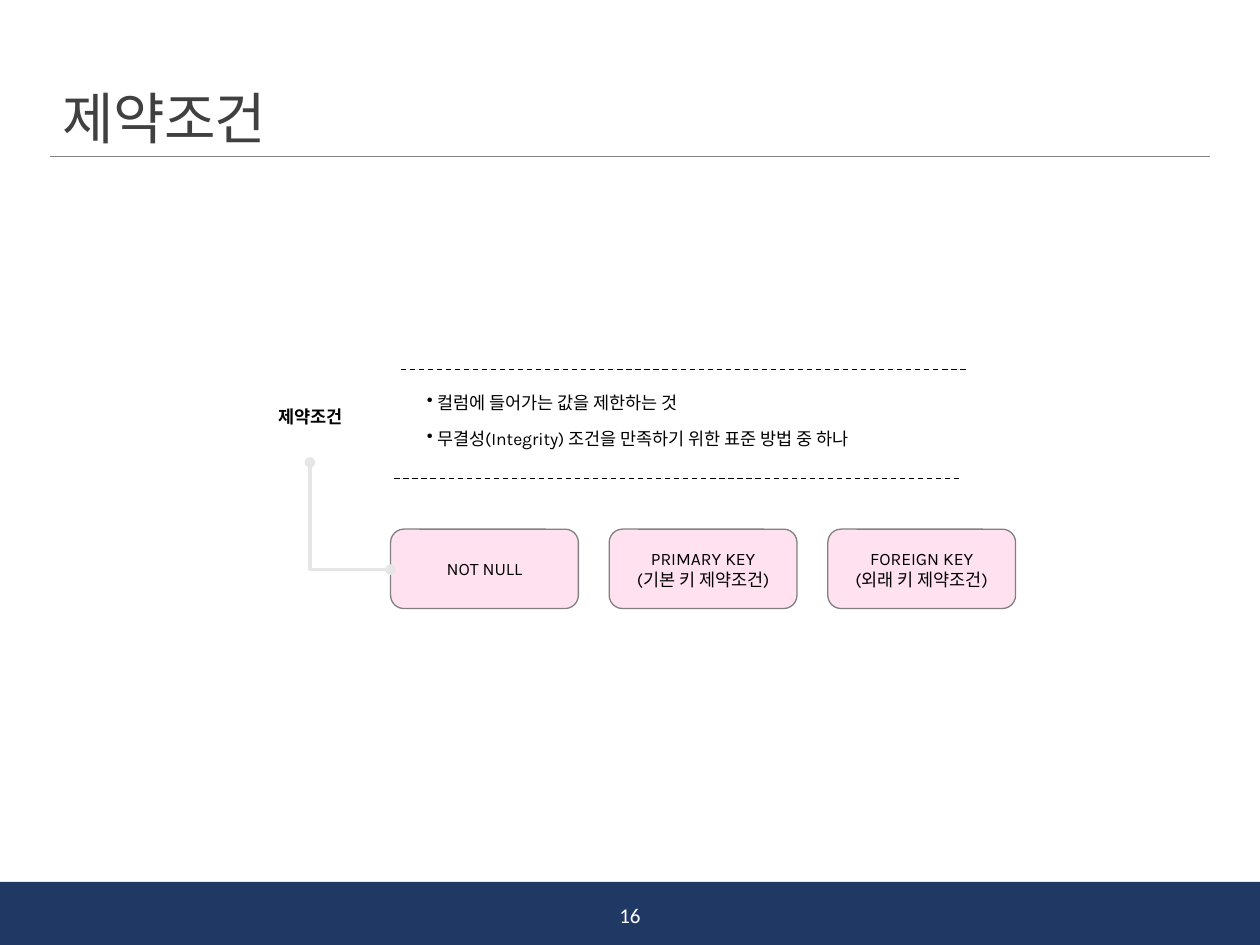
from pptx import Presentation
from pptx.dml.color import RGBColor
from pptx.enum.dml import MSO_LINE
from pptx.enum.shapes import MSO_CONNECTOR as Connector, MSO_SHAPE as Shape
from pptx.enum.text import MSO_ANCHOR as Anchor, PP_ALIGN as Align
from pptx.oxml.ns import qn
from pptx.util import Inches, Pt
from lxml.etree import SubElement

# The slide is a grid of square cells
COLUMNS, ROWS = 100, 75
CELL = Inches(0.1)

NAVY = RGBColor(0x20, 0x38, 0x64)
GRAY = RGBColor(0x80, 0x80, 0x80)
DARK = RGBColor(0x40, 0x40, 0x40)
LIGHT = RGBColor(0xE7, 0xE6, 0xE6)
PINK = RGBColor(0xFF, 0x99, 0xCC)
BLACK = RGBColor(0, 0, 0)
WHITE = RGBColor(0xFF, 0xFF, 0xFF)

KEY_BOXES = ["NOT NULL", "PRIMARY KEY\n(기본 키 제약조건)", "FOREIGN KEY\n(외래 키 제약조건)"]
DEFINITION = [
    "컬럼에 들어가는 값을 제한하는 것",
    "무결성(Integrity) 조건을 만족하기 위한 표준 방법 중 하나",
]


def cells(*counts):
    return [round(count * CELL) for count in counts]


def style(paragraph, size, color, name="Karla", bold=False, align=Align.LEFT):
    paragraph.alignment = align
    font = paragraph.font
    font.size, font.name, font.bold = Pt(size), name, bold
    font.color.rgb = color


def add_text(slide, area, text, size, color, anchor=Anchor.TOP, **options):
    frame = slide.shapes.add_textbox(*cells(*area)).text_frame
    frame.word_wrap = True
    frame.vertical_anchor = anchor
    paragraph = frame.paragraphs[0]
    paragraph.text = text
    style(paragraph, size, color, **options)
    return paragraph


def add_title(slide, text):
    paragraph = add_text(slide, (4, 4.2, 92, 8.3), text, 32, DARK, Anchor.BOTTOM, name="Calibri")
    paragraph.line_spacing = 0.85
    paragraph.runs[0].font._element.set("spc", "-50")


def add_bullets(slide, area, items):
    frame = slide.shapes.add_textbox(*cells(*area)).text_frame
    frame.word_wrap = True
    for index, item in enumerate(items):
        paragraph = frame.add_paragraph() if index else frame.paragraphs[0]
        paragraph.text = item
        paragraph.line_spacing = 1.3
        if index:
            paragraph.space_before = Pt(5)
        properties = paragraph._p.get_or_add_pPr()
        properties.set("marL", str(Inches(0.08)))
        properties.set("indent", str(-Inches(0.08)))
        SubElement(properties, qn("a:buChar"), char="•")
        style(paragraph, 10, BLACK)


def add_line(slide, ends, color, width, kind=Connector.STRAIGHT, dash=None):
    line = slide.shapes.add_connector(kind, *cells(*ends))
    line.line.color.rgb = color
    line.line.width = Pt(width)
    if dash:
        line.line.dash_style = dash
    SubElement(line._element.spPr, qn("a:effectLst"))
    return line


def add_corner(slide, left, top, right, bottom):
    """Line that goes down, then right, with a dot at each end."""
    middle_x, middle_y = (left + right) / 2, (top + bottom) / 2
    half_width, half_height = (bottom - top) / 2, (right - left) / 2
    # Drawn mirrored, then turned a quarter to the left about its centre
    ends = (middle_x + half_width, middle_y - half_height,
            middle_x - half_width, middle_y + half_height)
    properties = add_line(slide, ends, LIGHT, 2, Connector.ELBOW)._element.spPr
    properties.find(qn("a:xfrm")).set("rot", str(270 * 60000))
    properties.find(qn("a:prstGeom")).set("prst", "bentConnector2")
    for end in ("a:headEnd", "a:tailEnd"):
        SubElement(properties.find(qn("a:ln")), qn(end), type="oval")


def add_box(slide, kind, area, color):
    shape = slide.shapes.add_shape(kind, *cells(*area))
    shape.shadow.inherit = False
    shape.fill.solid()
    shape.fill.fore_color.rgb = color
    shape.line.fill.background()
    return shape


def add_key_box(slide, area, text):
    shape = add_box(slide, Shape.ROUNDED_RECTANGLE, area, PINK)
    color = shape._element.spPr.find(qn("a:solidFill"))[0]
    SubElement(color, qn("a:alpha"), val="29000")
    shape.line.color.rgb = GRAY
    shape.line.width = Pt(0.75)
    frame = shape.text_frame
    frame.word_wrap = False
    frame.vertical_anchor = Anchor.MIDDLE
    frame.paragraphs[0].text = text
    style(frame.paragraphs[0], 10, BLACK, align=Align.CENTER)


def main():
    presentation = Presentation()
    presentation.slide_width, presentation.slide_height = cells(COLUMNS, ROWS)
    slide = presentation.slides.add_slide(presentation.slide_layouts[6])

    add_box(slide, Shape.RECTANGLE, (0, ROWS - 5, COLUMNS, 5), NAVY)
    add_line(slide, (4, 12.4, COLUMNS - 4, 12.4), GRAY, 0.5)
    add_title(slide, "제약조건")
    add_text(slide, (44.6, 70.6, 10.8, 4), "16", 12, WHITE, Anchor.MIDDLE,
             name="Calibri", align=Align.CENTER)

    add_text(slide, (21.1, 31.7, 7.5, 2.7), "제약조건", 10, BLACK, bold=True)
    add_bullets(slide, (32.9, 30.1, 38.8, 6.2), DEFINITION)
    for left, top in ((31.8, 29.3), (31.3, 38)):
        add_line(slide, (left, top, left + 44.9, top), BLACK, 0.75, dash=MSO_LINE.DASH)

    for index, text in enumerate(KEY_BOXES):
        add_key_box(slide, (31 + index * 17.35, 42, 14.9, 6.3), text)
    add_corner(slide, 24.6, 36.7, 31, 45.2)

    presentation.save("out.pptx")


if __name__ == "__main__":
    main()
